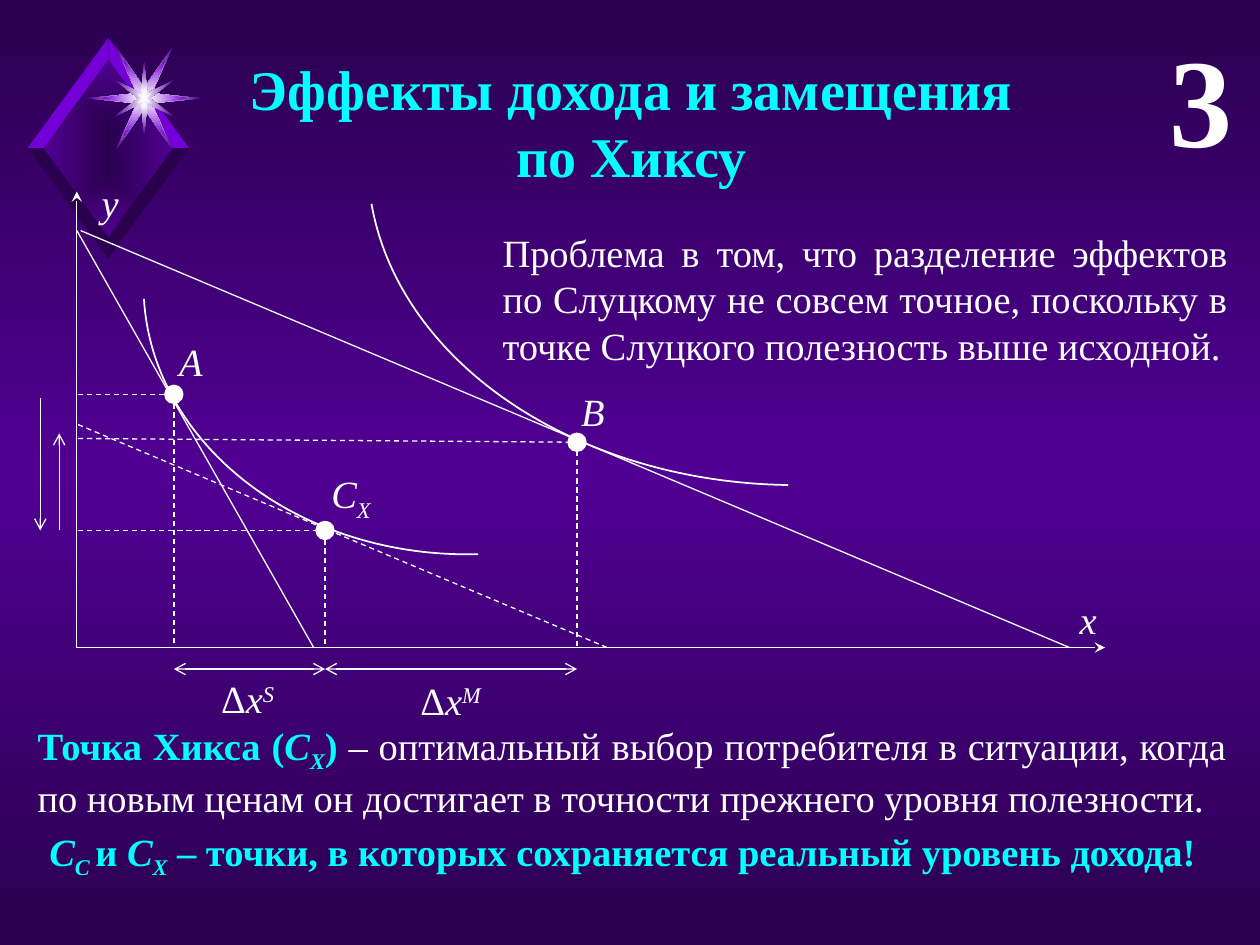
from dataclasses import dataclass

from lxml import etree
from pptx import Presentation
from pptx.dml.color import RGBColor
from pptx.enum.dml import MSO_LINE
from pptx.enum.shapes import MSO_CONNECTOR, MSO_SHAPE
from pptx.enum.text import MSO_ANCHOR, MSO_AUTO_SIZE, PP_ALIGN
from pptx.oxml import parse_xml
from pptx.oxml.ns import nsdecls, qn
from pptx.util import Inches, Pt

ARC, OVAL = MSO_SHAPE.ARC, MSO_SHAPE.OVAL
STRAIGHT, DASH = MSO_CONNECTOR.STRAIGHT, MSO_LINE.DASH
CENTER, RIGHT, JUSTIFY = PP_ALIGN.CENTER, PP_ALIGN.RIGHT, PP_ALIGN.JUSTIFY
TOP, FIT, FIXED = MSO_ANCHOR.TOP, MSO_AUTO_SIZE.SHAPE_TO_FIT_TEXT, MSO_AUTO_SIZE.NONE

COLORS = {
    "white": "FFFFFF",
    "cyan": "00FFFF",
    "dark": "2A004E",
    "violet": "500093",
    "bright": "7500D7",
    "spark": "F9F9F9",
}
FONT = "Times New Roman"
COLUMNS, ROWS = 100, 75
SUBSCRIPT, SUPERSCRIPT = -25000, 30000

presentation = Presentation()
presentation.slide_width, presentation.slide_height = Inches(10), Inches(7.5)
COLUMN = presentation.slide_width / COLUMNS
ROW = presentation.slide_height / ROWS


@dataclass
class Region:
    left: float
    top: float

    def point(self, x, y):
        return round((self.left + x) * COLUMN), round((self.top + y) * ROW)

    def box(self, x, y, width, height):
        return *self.point(x, y), round(width * COLUMN), round(height * ROW)


def color(name):
    return RGBColor.from_string(COLORS[name])


def write(paragraph, text, size=22, tint="white", bold=False, italic=False, baseline=0):
    run = paragraph.add_run()
    run.text = text
    font = run.font
    font.name, font.size, font.bold, font.italic = FONT, Pt(size), bold, italic
    font.color.rgb = color(tint)
    if baseline:
        run._r.get_or_add_rPr().set("baseline", str(baseline))


def add_text(shapes, box, runs, align=CENTER, inset=None, **style):
    frame = shapes.add_textbox(*box).text_frame
    frame.word_wrap = True
    frame.auto_size = FIT if inset is None else FIXED
    if inset is not None:
        frame.margin_left = frame.margin_right = inset
        frame.margin_top = frame.margin_bottom = inset
    paragraph = frame.paragraphs[0]
    paragraph.alignment = align
    for text, changes in runs:
        write(paragraph, text, **{**style, **changes})


def paint_gradient(fill, element, names, direction):
    fill.gradient()
    old = element.xpath(".//a:gradFill")[0]
    stops = "".join(
        f'<a:gs pos="{100000 * index // (len(names) - 1)}"><a:srgbClr val="{COLORS[name]}"/></a:gs>'
        for index, name in enumerate(names)
    )
    new = parse_xml(
        f'<a:gradFill {nsdecls("a")} rotWithShape="1"><a:gsLst>{stops}</a:gsLst>{direction}</a:gradFill>'
    )
    old.getparent().replace(old, new)


def add_polygon(shapes, region, points, *names):
    start, *others = [region.point(*point) for point in points]
    builder = shapes.build_freeform(*start)
    builder.add_line_segments(others, close=True)
    shape = builder.convert_to_shape()
    shape.shadow.inherit = False
    shape.line.fill.background()
    if len(names) == 1:
        shape.fill.solid()
        shape.fill.fore_color.rgb = color(names[0])
    else:
        center = '<a:path path="rect"><a:fillToRect l="50000" t="50000" r="50000" b="50000"/></a:path>'
        paint_gradient(shape.fill, shape.element, names, center)


def add_line(shapes, region, start, end, dashed=False, head=None, tail=None):
    connector = shapes.add_connector(STRAIGHT, *region.point(*start), *region.point(*end))
    connector.line.color.rgb = color("white")
    connector.line.width = Pt(0.75)
    if dashed:
        connector.line.dash_style = DASH
    properties = connector.element.spPr
    for tag, kind in (("a:headEnd", head), ("a:tailEnd", tail)):
        if kind:
            etree.SubElement(properties.find(qn("a:ln")), qn(tag), type=kind)
    etree.SubElement(properties, qn("a:effectLst"))


def add_curve(shapes, box, start, end):
    curve = shapes.add_shape(ARC, *box)
    curve.adjustments[0], curve.adjustments[1] = start, end
    curve.element.spPr.xfrm.set("flipH", "1")
    curve.element.spPr.xfrm.set("flipV", "1")
    curve.shadow.inherit = False
    curve.fill.background()
    curve.line.color.rgb = color("white")
    curve.line.width = Pt(1)


def add_dot(shapes, region, x, y, diameter=1.4):
    box = region.box(x - diameter / 2, y - diameter / 2, diameter, diameter)
    dot = shapes.add_shape(OVAL, *box)
    dot.shadow.inherit = False
    dot.fill.solid()
    dot.fill.fore_color.rgb = dot.line.color.rgb = color("white")
    dot.line.width = Pt(1)


def mirror(quarter):
    inner = quarter[1:-1]
    return (
        quarter
        + [(x, -y) for x, y in reversed(quarter[:-1])]
        + [(-x, -y) for x, y in quarter[1:]]
        + [(-x, y) for x, y in reversed(inner)]
    )


def build_emblem(slide, center):
    shapes = slide.shapes.add_group_shape().shapes
    width, height, inner_width, inner_height = 6.4, 8.75, 5.15, 7.05
    add_polygon(shapes, center, mirror([(0, -inner_height), (inner_width, 0)]), "dark", "violet")
    for vertical, name in ((-1, "bright"), (1, "dark")):
        for side in (1, -1):
            bevel = [(0, inner_height * vertical), (0, height * vertical),
                     (width * side, 0), (inner_width * side, 0)]
            add_polygon(shapes, center, bevel, name)
    star = Region(center.left + 2.85, center.top - 3.95)
    for quarter, names in (
        ([(0, -0.85), (2.25, -4.1), (0.6, -0.4), (4.55, 0)], ("white", "violet")),
        ([(0, -0.85), (1.65, -3.05), (0.6, -0.4), (3.35, 0)], ("white", "bright")),
        ([(0, -2.9), (0.25, -0.4), (2.35, -1.45), (0.45, 0)], ("white", "violet")),
        ([(0, -0.75), (0.1, -0.2), (0.55, -0.4), (0.2, 0)], ("spark",)),
    ):
        add_polygon(shapes, star, mirror(quarter), *names)


def build_heading(slide, region):
    title = slide.shapes.title
    title.left, title.top, title.width, title.height = region.box(0, 0, 96.2, 11.8)
    frame = title.text_frame
    frame.vertical_anchor, frame.auto_size = TOP, FIXED
    for index, text in enumerate(("Эффекты дохода и замещения", "по Хиксу")):
        paragraph = frame.add_paragraph() if index else frame.paragraphs[0]
        paragraph.alignment = CENTER
        write(paragraph, text, size=32, tint="cyan", bold=True)
    add_text(slide.shapes, region.box(84.3, -2.6, 12.5, 13.1), [("3", {})], RIGHT, size=72, bold=True)


def build_graph(slide, region):
    shapes = slide.shapes.add_group_shape().shapes
    base, measure = 36.2, 37.9
    point_a, point_b, point_c = (7.7, 16.1), (39.7, 19.9), (19.7, 26.9)
    add_curve(shapes, region.box(5.3, -13.8, 51.3, 42.6), 160.55, 214.62)
    add_curve(shapes, region.box(23.1, -28, 67.9, 51.3), 162.79, 212.61)
    add_line(shapes, region, (0, 0), (0, base), head="stealth")
    add_line(shapes, region, (0, base), (81.6, base), tail="stealth")
    add_line(shapes, region, (0, 3.1), (18.8, base))
    add_line(shapes, region, (0.3, 3.1), (78.8, base))
    add_line(shapes, region, (0.1, 18.5), (42.1, base), dashed=True)
    for (x, y), level in ((point_a, 16.1), (point_b, 19.6), (point_c, 26.9)):
        add_line(shapes, region, (0.1, level), (x, y), dashed=True)
        add_line(shapes, region, (x, y), (x, base), dashed=True)
        add_dot(shapes, region, x, y)
    for start, end in ((point_a, point_c), (point_c, point_b)):
        add_line(shapes, region, (start[0], measure), (end[0], measure), head="arrow", tail="arrow")
    add_line(shapes, region, (-1.4, point_c[1]), (-1.4, 19.2), tail="arrow")
    add_line(shapes, region, (-2.9, 16.4), (-2.9, point_c[1]), tail="arrow")
    upright, lower, raised = {"italic": False}, {"baseline": SUBSCRIPT}, {"baseline": SUPERSCRIPT}
    for x, y, width, runs in (
        (76.3, 32, 7.9, [("x", {})]),
        (0.3, -1.1, 4.7, [("y", {})]),
        (5.1, 11.5, 7.9, [("A", {})]),
        (37, 15.5, 7.9, [("B", {})]),
        (17.8, 22, 7.9, [("С", {}), ("Х", lower)]),
        (9.6, 38.3, 7.9, [("Δ", upright), ("x", {}), ("S", raised)]),
        (25.7, 38.4, 7.9, [("Δ", upright), ("x", {}), ("M", raised)]),
    ):
        add_text(shapes, region.box(x, y, width, 5), runs, inset=Inches(0.01), italic=True)


def build_problem(slide, region):
    text = ("Проблема в том, что разделение эффектов по Слуцкому не совсем точное, "
            "поскольку в точке Слуцкого полезность выше исходной.")
    add_text(slide.shapes, region.box(0, 0, 59.5, 12.1), [(text, {})], JUSTIFY)


def build_definition(slide, region):
    italic = {"italic": True}
    lower = {"italic": True, "baseline": SUBSCRIPT}
    meaning = ("– оптимальный выбор потребителя в ситуации, когда по новым ценам "
               "он достигает в точности прежнего уровня полезности.")
    definition = [("Точка Хикса (", {}), ("С", italic), ("Х", lower), (") ", {}),
                  (meaning, {"tint": "white", "bold": False})]
    conclusion = [("C", italic), ("C ", lower), ("и ", {}), ("С", italic), ("Х", lower),
                  (" – точки, в которых сохраняется реальный уровень дохода!", {})]
    add_text(slide.shapes, region.box(0, 0, 96.3, 8.4), definition, JUSTIFY, tint="cyan", bold=True)
    add_text(slide.shapes, region.box(-0.7, 8.4, 96.2, 4.7), conclusion, tint="cyan", bold=True)


def main():
    slide = presentation.slides.add_slide(presentation.slide_layouts[5])
    paint_gradient(slide.background.fill, slide.element, ("dark", "violet", "dark"),
                   '<a:lin ang="5400000" scaled="1"/>')
    build_emblem(slide, Region(8.6, 11.75))
    build_heading(slide, Region(2, 3.8))
    build_problem(slide, Region(38.9, 17.7))
    build_definition(slide, Region(2, 56.8))
    build_graph(slide, Region(6.1, 15.2))
    presentation.save("out.pptx")


if __name__ == "__main__":
    main()
